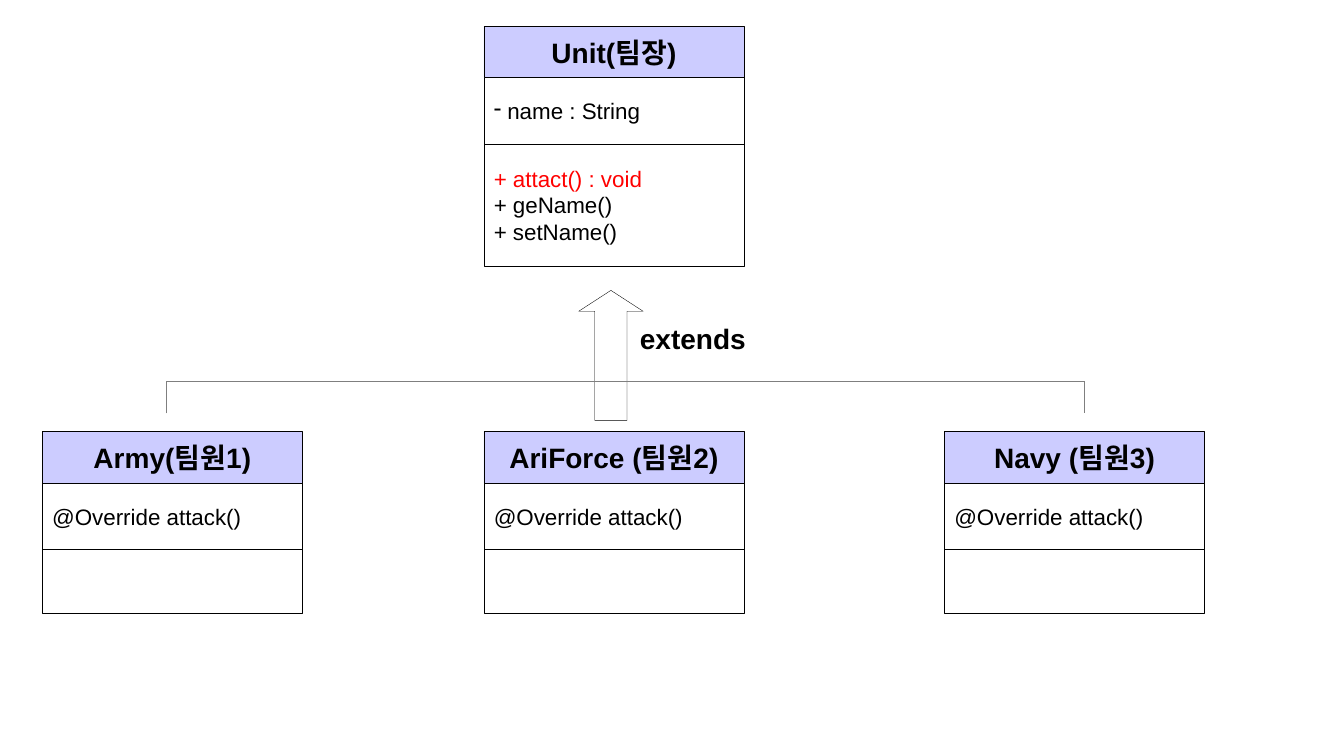
from lxml import etree
from pptx import Presentation
from pptx.dml.color import RGBColor
from pptx.enum.shapes import MSO_CONNECTOR, MSO_SHAPE
from pptx.enum.text import MSO_ANCHOR, MSO_AUTO_SIZE, PP_ALIGN
from pptx.oxml.ns import qn
from pptx.util import Pt

RECT, ARROW = MSO_SHAPE.RECTANGLE, MSO_SHAPE.DOWN_ARROW
STRAIGHT = MSO_CONNECTOR.STRAIGHT
MIDDLE, FIT = MSO_ANCHOR.MIDDLE, MSO_AUTO_SIZE.SHAPE_TO_FIT_TEXT
LEFT, CENTER = PP_ALIGN.LEFT, PP_ALIGN.CENTER

COLORS = {
    name: RGBColor.from_string(value)
    for name, value in {
        "white": "FFFFFF", "black": "000000", "red": "FF0000",
        "header": "CCCCFF", "bracket": "7F7F7F",
    }.items()
}
BOX_W, HEADER_H, FIELDS_H = 185.8, 36.7, 47.5

prs = Presentation()
prs.slide_width, prs.slide_height = Pt(960), Pt(540)
slide = prs.slides.add_slide(prs.slide_layouts[6])
shapes = slide.shapes


def add_outlined(kind, x, y, w, h, fill):
    sp = shapes.add_shape(kind, Pt(x), Pt(y), Pt(w), Pt(h))
    sp.shadow.inherit = False
    sp.fill.solid()
    sp.fill.fore_color.rgb = COLORS[fill]
    sp.line.color.rgb = COLORS["black"]
    sp.line.width = Pt(0.25)
    return sp


def write_lines(tf, lines, size, bold=False, align=LEFT):
    """Fill a text frame with one paragraph for each line."""
    for i, line in enumerate(lines):
        p = tf.add_paragraph() if i else tf.paragraphs[0]
        p.text = line
        p.alignment = align
        p.font.name, p.font.size, p.font.bold = "Arial", Pt(size), bold
        p.font.color.rgb = COLORS["black"]


# Class boxes: left, top, title, fields, methods, height of the methods part
override = ["@Override attack()"]
classes = [
    (345.6, 18.7, "Unit(팀장)", [" name : String"],
     ["+ attact() : void", "+ geName()", "+ setName()"], 87.1),
    (30.2, 308.2, "Army(팀원1)", override, [], 45.4),
    (345.6, 308.2, "AriForce (팀원2)", override, [], 45.4),
    (674.6, 308.2, "Navy (팀원3)", override, [], 45.4),
]
parts = {}
for x, top, title, fields, methods, methods_h in classes:
    y = top + HEADER_H
    for name, lines, h in (("fields", fields, FIELDS_H), ("methods", methods, methods_h)):
        sp = add_outlined(RECT, x, y, BOX_W, h, "white")
        color = sp.fill._xPr.find(qn("a:solidFill"))[0]
        etree.SubElement(color, qn("a:alpha"), val="50000")
        tf = sp.text_frame
        tf.vertical_anchor = MIDDLE
        tf.word_wrap = False
        write_lines(tf, lines, 16)
        parts[title, name] = tf
        y += h
    header = add_outlined(RECT, x, top, BOX_W, HEADER_H, "header")
    header.text_frame.vertical_anchor = MIDDLE
    write_lines(header.text_frame, [title], 20, True, CENTER)

name_field = parts["Unit(팀장)", "fields"].paragraphs[0]
etree.SubElement(name_field._p.get_or_add_pPr(), qn("a:buChar"), char="-")
abstract_method = parts["Unit(팀장)", "methods"].paragraphs[0]
abstract_method.font.color.rgb = COLORS["red"]

# Inheritance arrow and its label
arrow = add_outlined(ARROW, 413.3, 207.4, 46.1, 92.9, "white")
arrow.rotation = 180
arrow.adjustments[0], arrow.adjustments[1] = 0.5, 0.324

label = shapes.add_textbox(Pt(450), Pt(226.1), Pt(90.7), Pt(31.7))
label.text_frame.word_wrap = False
label.text_frame.auto_size = FIT
write_lines(label.text_frame, ["extends"], 20, True)

# Bracket over the subclasses
bracket = [(118.8, 295.2), (118.8, 272.2), (774.7, 272.2), (774.7, 295.2)]
for (x1, y1), (x2, y2) in zip(bracket, bracket[1:]):
    line = shapes.add_connector(STRAIGHT, Pt(x1), Pt(y1), Pt(x2), Pt(y2))
    line.line.color.rgb = COLORS["bracket"]
    line.line.width = Pt(0.5)
    etree.SubElement(line._element.spPr, qn("a:effectLst"))

prs.save("out.pptx")
